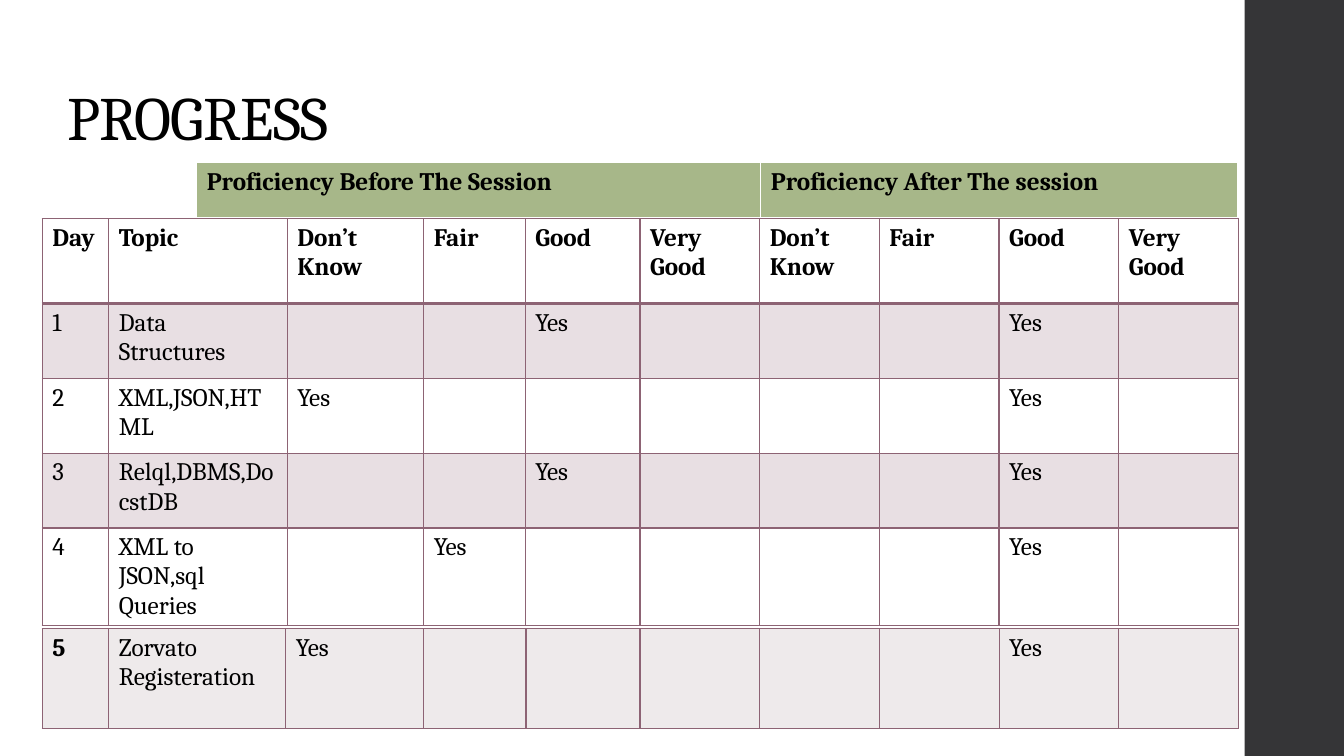
from dataclasses import dataclass

from lxml import etree
from pptx import Presentation
from pptx.dml.color import RGBColor
from pptx.enum.shapes import MSO_SHAPE
from pptx.enum.text import MSO_ANCHOR, PP_ALIGN
from pptx.oxml.ns import qn
from pptx.util import Pt

RECTANGLE = MSO_SHAPE.RECTANGLE
BOTTOM = MSO_ANCHOR.BOTTOM
LEFT = PP_ALIGN.LEFT
TITLE_ONLY = 5


@dataclass(frozen=True)
class Theme:
    font: str = "Cambria"
    title_size: int = 44
    body_size: int = 18
    ink: str = "000000"
    sidebar: str = "353537"
    white: str = "FFFFFF"
    green: str = "A7B789"
    plum: str = "8D6374"
    pale: str = "EEEAEB"
    band_opacity: int = 20


THEME = Theme()

LEVELS = ["Don’t Know", "Fair", "Good", "Very Good"]
HEADINGS = ["Day", "Topic"] + LEVELS * 2
SESSIONS = [
    ("1", "Data Structures", "Good", "Good"),
    ("2", "XML,JSON,HTML", "Don’t Know", "Good"),
    ("3", "Relql,DBMS,DocstDB", "Good", "Good"),
    ("4", "XML to JSON,sql Queries", "Fair", "Good"),
]
LAST_SESSION = ("5", "Zorvato Registeration", "Don’t Know", "Good")
TABLE_LEFT = 30.25
LEVEL_WIDTHS = [85.5] * 5


def add_run(paragraph, text, size, bold=False):
    run = paragraph.add_run()
    run.text = text
    run.font.name = THEME.font
    run.font.size = Pt(size)
    run.font.bold = bold
    run.font.color.rgb = RGBColor.from_string(THEME.ink)
    return run


def add_title(slide, text):
    title = slide.shapes.title
    title.left, title.top = Pt(41), Pt(28.8)
    title.width, title.height = Pt(821.5), Pt(85)
    title.text_frame.vertical_anchor = BOTTOM
    title.text_frame.word_wrap = True
    paragraph = title.text_frame.paragraphs[0]
    paragraph.alignment = LEFT
    paragraph.line_spacing = 0.9
    run = add_run(paragraph, text, THEME.title_size)
    run.font._element.set("spc", "-50")


def add_sidebar(slide):
    shape = slide.shapes.add_shape(RECTANGLE, Pt(889), Pt(0), Pt(71), Pt(540))
    shape.shadow.inherit = False
    shape.fill.solid()
    shape.fill.fore_color.rgb = RGBColor.from_string(THEME.sidebar)
    shape.line.fill.background()


def set_borders(cell, color, bottom_width):
    properties = cell._tc.get_or_add_tcPr()
    for side, width in (("L", 1), ("R", 1), ("T", 1), ("B", bottom_width)):
        line = etree.SubElement(properties, qn(f"a:ln{side}"), w=str(Pt(width)))
        fill = etree.SubElement(line, qn("a:solidFill"))
        etree.SubElement(fill, qn("a:srgbClr"), val=color)


def set_fill(cell, color, opacity=100):
    if color is None:
        cell.fill.background()
        return
    cell.fill.solid()
    cell.fill.fore_color.rgb = RGBColor.from_string(color)
    if opacity < 100:
        color_element = cell._tc.tcPr.find(".//" + qn("a:solidFill") + "/" + qn("a:srgbClr"))
        for candidate in cell._tc.tcPr.findall(qn("a:solidFill") + "/" + qn("a:srgbClr")):
            color_element = candidate
        etree.SubElement(color_element, qn("a:alpha"), val=str(opacity * 1000))


def add_grid(slide, left, top, widths, heights):
    frame = slide.shapes.add_table(
        len(heights), len(widths), Pt(left), Pt(top), Pt(sum(widths)), Pt(sum(heights))
    )
    table = frame.table
    table.first_row = False
    table.horz_banding = False
    for column, width in zip(table.columns, widths):
        column.width = Pt(width)
    for row, height in zip(table.rows, heights):
        row.height = Pt(height)
    return table


def write_cell(cell, text, border, bottom_width=1, fill=None, opacity=100, bold=False):
    set_borders(cell, border, bottom_width)
    set_fill(cell, fill, opacity)
    if text:
        add_run(cell.text_frame.paragraphs[0], text, THEME.body_size, bold)


def session_texts(day, topic, before, after):
    marks = ["Yes" if level == rating else "" for rating in (before, after) for level in LEVELS]
    return [day, topic] + marks


def add_group_header(slide):
    table = add_grid(slide, 140.5, 116, [403, 340.5], [40])
    labels = ["Proficiency Before The Session", "Proficiency After The session"]
    for column, label in enumerate(labels):
        write_cell(table.cell(0, column), label, THEME.white, 3, THEME.green, bold=True)


def add_progress_table(slide):
    widths = [47.5, 127.5, 97.5, 72.5, 82] + LEVEL_WIDTHS
    table = add_grid(slide, TABLE_LEFT, 156.25, widths, [60.5, 53.5, 53.5, 53.5, 64])
    for column, heading in enumerate(HEADINGS):
        write_cell(table.cell(0, column), heading, THEME.plum, 2, bold=True)
    for row, session in enumerate(SESSIONS, start=1):
        fill = THEME.plum if row % 2 else None
        for column, text in enumerate(session_texts(*session)):
            write_cell(
                table.cell(row, column), text, THEME.plum, fill=fill, opacity=THEME.band_opacity
            )


def add_last_session(slide):
    widths = [47.5, 126.5, 98.5, 73, 81.5] + LEVEL_WIDTHS
    table = add_grid(slide, TABLE_LEFT, 449, widths, [71.5])
    for column, text in enumerate(session_texts(*LAST_SESSION)):
        write_cell(table.cell(0, column), text, THEME.plum, fill=THEME.pale, bold=column == 0)


def main():
    presentation = Presentation()
    presentation.slide_width, presentation.slide_height = Pt(960), Pt(540)
    slide = presentation.slides.add_slide(presentation.slide_layouts[TITLE_ONLY])
    add_sidebar(slide)
    add_title(slide, "PROGRESS")
    add_group_header(slide)
    add_progress_table(slide)
    add_last_session(slide)
    presentation.save("out.pptx")


if __name__ == "__main__":
    main()
